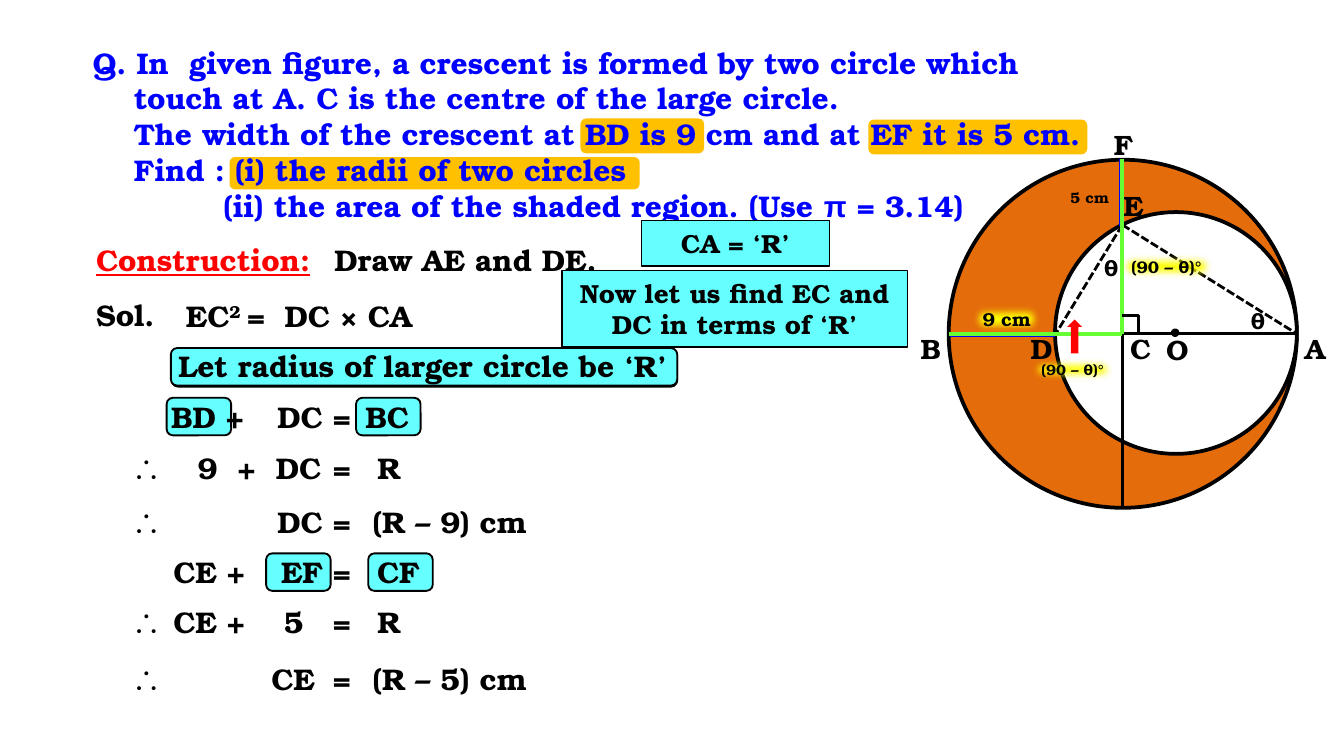
from lxml import etree
from pptx import Presentation
from pptx.dml.color import RGBColor
from pptx.enum.dml import MSO_LINE_DASH_STYLE as DASH
from pptx.enum.shapes import MSO_CONNECTOR, MSO_SHAPE as SHAPE
from pptx.enum.text import MSO_ANCHOR as ANCHOR, MSO_AUTO_SIZE, PP_ALIGN as ALIGN
from pptx.oxml.ns import qn
from pptx.util import Cm, Pt

COLORS = {"black": "000000", "blue": "0000FF", "red": "FF0000", "amber": "FFC000",
          "cyan": "66FFFF", "orange": "E46C0A", "white": "FFFFFF",
          "green": "66FF33", "yellow": "FFFF00"}
SERIF, SANS = "TeX Gyre Bonum", "Arial"

# Points of the figure, in cm
A, B, C = (24.51, 6.31), (17.93, 6.31), (21.21, 6.31)
D, E, F = (19.94, 6.33), (21.21, 4.25), (21.21, 3.0)
BOTTOM = (21.21, 9.6)

QUESTION = [
    ("Q. In  given figure, a crescent is formed by two circle which", 0),
    ("touch at A. C is the centre of the large circle.", 0.78),
    ("The width of the crescent at BD is 9 cm and at EF it is 5 cm.", 0.78),
    ("Find : (i) the radii of two circles", 0.78),
    ([("(ii) the area of the shaded region. (Use ", {}), ("π", {"font": SANS}),
      (" = 3.14)", {})], 2.47),
]

# Top of each line of working, then its terms as (text, right edge, width)
EQUALS = ("=", 6.88, 0.86)
THEREFORE = ("∴", 3.05, 0.81)
EC_SQUARED = [("EC", {}), ("2", {"baseline": 30000})]
WORKING = [
    (5.51, [(EC_SQUARED, 4.8, 1.68), ("=", 5.26, 0.86), ("DC × CA", 8.03, 3.15)]),
    (7.42, [("BD +", 4.86, 2.16), ("DC", 6.35, 1.4), EQUALS, ("BC", 7.98, 1.4)]),
    (8.38, [THEREFORE, ("9  +", 5.08, 2.24), ("DC", 6.32, 1.4), EQUALS, ("R", 7.82, 1.4)]),
    (9.4, [THEREFORE, ("DC", 6.35, 1.4), EQUALS, ("(R – 9) cm", 10.21, 3.71)]),
    (10.34, [("CE +", 4.88, 2.16), ("EF", 6.35, 1.4), EQUALS, ("CF", 8.18, 1.4)]),
    (11.28, [THEREFORE, ("CE +", 4.88, 2.16), ("5", 5.99, 1.14), EQUALS, ("R", 7.82, 1.4)]),
    (12.37, [THEREFORE, ("CE", 6.2, 1.96), EQUALS, ("(R – 5) cm", 10.21, 3.71)]),
]


def rgb(name):
    return RGBColor.from_string(COLORS[name])


def write(frame, lines, size=16, color="black", font=SERIF, align=ALIGN.LEFT,
          anchor=ANCHOR.TOP, wrap=True, underline=None, inset=0.25):
    """Fill a frame with lines of (text or list of (text, overrides), indent in cm)."""
    frame.word_wrap = wrap
    frame.auto_size = MSO_AUTO_SIZE.NONE
    frame.vertical_anchor = anchor
    frame.margin_left = frame.margin_right = Cm(inset)
    frame.margin_top = frame.margin_bottom = Cm(inset / 2)
    for number, (content, indent) in enumerate(lines):
        paragraph = frame.add_paragraph() if number else frame.paragraphs[0]
        paragraph.alignment = align
        if indent:
            properties = paragraph._p.get_or_add_pPr()
            properties.set("marL", str(Cm(indent)))
            properties.set("indent", "0")
        runs = [(content, {})] if isinstance(content, str) else content
        for words, overrides in runs:
            run = paragraph.add_run()
            run.text = words
            run.font.name = overrides.get("font", font)
            run.font.size = Pt(size)
            run.font.bold = True
            run.font.underline = underline
            run.font.color.rgb = rgb(color)
            if "baseline" in overrides:
                run._r.get_or_add_rPr().set("baseline", str(overrides["baseline"]))


def add_text(slide, content, box, **style):
    area = slide.shapes.add_textbox(*map(Cm, box))
    write(area.text_frame, [(content, 0)], **style)


def add_figure(slide, kind, box, fill, line=0, rotation=0):
    """Add a filled preset shape; a line width of 0 means no outline."""
    figure = slide.shapes.add_shape(kind, *map(Cm, box))
    figure.shadow.inherit = False
    figure.rotation = rotation
    figure.fill.solid()
    figure.fill.fore_color.rgb = rgb(fill)
    if line:
        figure.line.color.rgb = rgb("black")
        figure.line.width = Pt(line)
    else:
        figure.line.fill.background()
    return figure


def add_segment(slide, start, end, color="black", width=1.5, dash=None):
    segment = slide.shapes.add_connector(MSO_CONNECTOR.STRAIGHT, *map(Cm, start + end))
    segment.line.color.rgb = rgb(color)
    segment.line.width = Pt(width)
    if dash:
        segment.line.dash_style = dash
    etree.SubElement(segment._element.spPr, qn("a:effectLst"))


def add_glow_label(slide, words, box, size, rotation=0, blur=5):
    """Add a small label on a yellow patch with soft edges."""
    label = add_figure(slide, SHAPE.RECTANGLE, box, "yellow", rotation=rotation)
    effects = label._element.spPr.find(qn("a:effectLst"))
    etree.SubElement(effects, qn("a:softEdge")).set("rad", str(Pt(blur)))
    write(label.text_frame, [(words, 0)], size=size, align=ALIGN.CENTER,
          anchor=ANCHOR.MIDDLE, inset=0)


def add_callout(slide, words, box):
    callout = add_figure(slide, SHAPE.RECTANGLE, box, "cyan", line=0.75)
    write(callout.text_frame, [(words, 0)], size=14, align=ALIGN.CENTER, anchor=ANCHOR.MIDDLE)


def add_highlights(slide):
    for box in [(4.34, 2.97, 7.75, 0.61), (16.41, 2.26, 4.14, 0.66), (10.97, 2.24, 2.34, 0.66)]:
        add_figure(slide, SHAPE.ROUNDED_RECTANGLE, box, "amber")
    for box in [(3.25, 6.6, 9.55, 0.71), (3.23, 6.58, 9.57, 0.71)]:
        add_figure(slide, SHAPE.ROUNDED_RECTANGLE, box, "cyan", line=1)
    for left, top in [(3.15, 7.52), (6.73, 7.52), (5.03, 10.46), (6.96, 10.46)]:
        add_figure(slide, SHAPE.ROUNDED_RECTANGLE, (left, top, 1.22, 0.71), "cyan", line=1)


def add_question(slide):
    question = slide.shapes.title
    question.left, question.top, question.width, question.height = map(
        Cm, (1.5, 0.71, 22.63, 4.37))
    write(question.text_frame, QUESTION, color="blue")
    element = question.element
    element.getparent().append(element)  # in front of the highlights


def add_crescent(slide):
    add_figure(slide, SHAPE.OVAL, (17.93, 3.02, 6.58, 6.58), "orange", line=2)
    add_figure(slide, SHAPE.OVAL, (19.94, 4.01, 4.57, 4.57), "white", line=2)
    add_segment(slide, B, A)
    for name, left, top in [("B", 17.15, 6.15), ("A", 24.41, 6.15), ("F", 20.8, 2.29),
                            ("E", 20.98, 3.43), ("D", 19.23, 6.15), ("C", 21.11, 6.15),
                            ("O", 21.79, 6.17)]:
        add_text(slide, name, (left, top, 0.8, 0.8), size=15)
    add_figure(slide, SHAPE.OVAL, (22.17, 6.25, 0.08, 0.08), "black", line=2.25)
    for end in (A, D):
        add_segment(slide, E, end, dash=DASH.SQUARE_DOT)
    add_segment(slide, F, BOTTOM)
    for left, top in [(20.62, 4.67), (23.39, 5.69)]:
        add_text(slide, "θ", (left, top, 0.76, 0.76), size=12, align=ALIGN.RIGHT)

    add_segment(slide, (17.96, 6.33), D, "blue", 2.25)
    add_segment(slide, (21.19, 3.0), (21.19, 4.27), "blue", 2.25)
    add_segment(slide, B, C, "green", 2.25)
    add_segment(slide, F, C, "green", 2.25)

    add_glow_label(slide, "9 cm", (18.29, 5.69, 1.47, 0.69), 10, rotation=359.8)
    add_glow_label(slide, "5 cm", (19.96, 3.43, 1.27, 0.61), 8, rotation=359.8, blur=9)
    add_glow_label(slide, "(90 – θ)°", (21.08, 4.72, 1.93, 0.64), 9)
    add_glow_label(slide, "(90 – θ)°", (19.41, 6.68, 1.73, 0.61), 8)
    add_figure(slide, SHAPE.RIGHT_ARROW, (19.99, 6.22, 0.64, 0.28), "red", rotation=270)

    outline = slide.shapes.build_freeform(Cm(21.21), Cm(5.97))
    outline.add_line_segments([(Cm(21.51), Cm(5.97)), (Cm(21.51), Cm(6.27))], close=False)
    right_angle = outline.convert_to_shape()
    right_angle.shadow.inherit = False
    right_angle.fill.background()
    right_angle.line.color.rgb = rgb("black")
    right_angle.line.width = Pt(1.5)


def add_working(slide):
    add_text(slide, "Construction:", (1.57, 4.45, 4.83, 0.94), color="red", underline=True)
    add_text(slide, "Draw AE and DE.", (6.07, 4.45, 5.74, 0.94), wrap=False)
    add_text(slide, "Sol.", (1.57, 5.49, 1.7, 0.94))
    add_text(slide, "Let radius of larger circle be ‘R’", (3.12, 6.45, 9.86, 0.94), wrap=False)
    for top, terms in WORKING:
        for content, right, width in terms:
            is_sign = content == "∴"
            add_text(slide, content, (right - width, top, width, 0.94),
                     font=SANS if is_sign else SERIF,
                     align=ALIGN.LEFT if is_sign else ALIGN.RIGHT)


def main():
    deck = Presentation()
    deck.slide_width, deck.slide_height = Cm(25.4), Cm(14.29)
    slide = deck.slides.add_slide(deck.slide_layouts[5])
    add_highlights(slide)
    add_question(slide)
    add_crescent(slide)
    add_working(slide)
    add_callout(slide, "CA = ‘R’", (12.12, 4.17, 3.56, 0.86))
    add_callout(slide, "Now let us find EC and DC in terms of ‘R’", (10.62, 5.11, 6.53, 1.45))
    deck.save("out.pptx")


if __name__ == "__main__":
    main()
